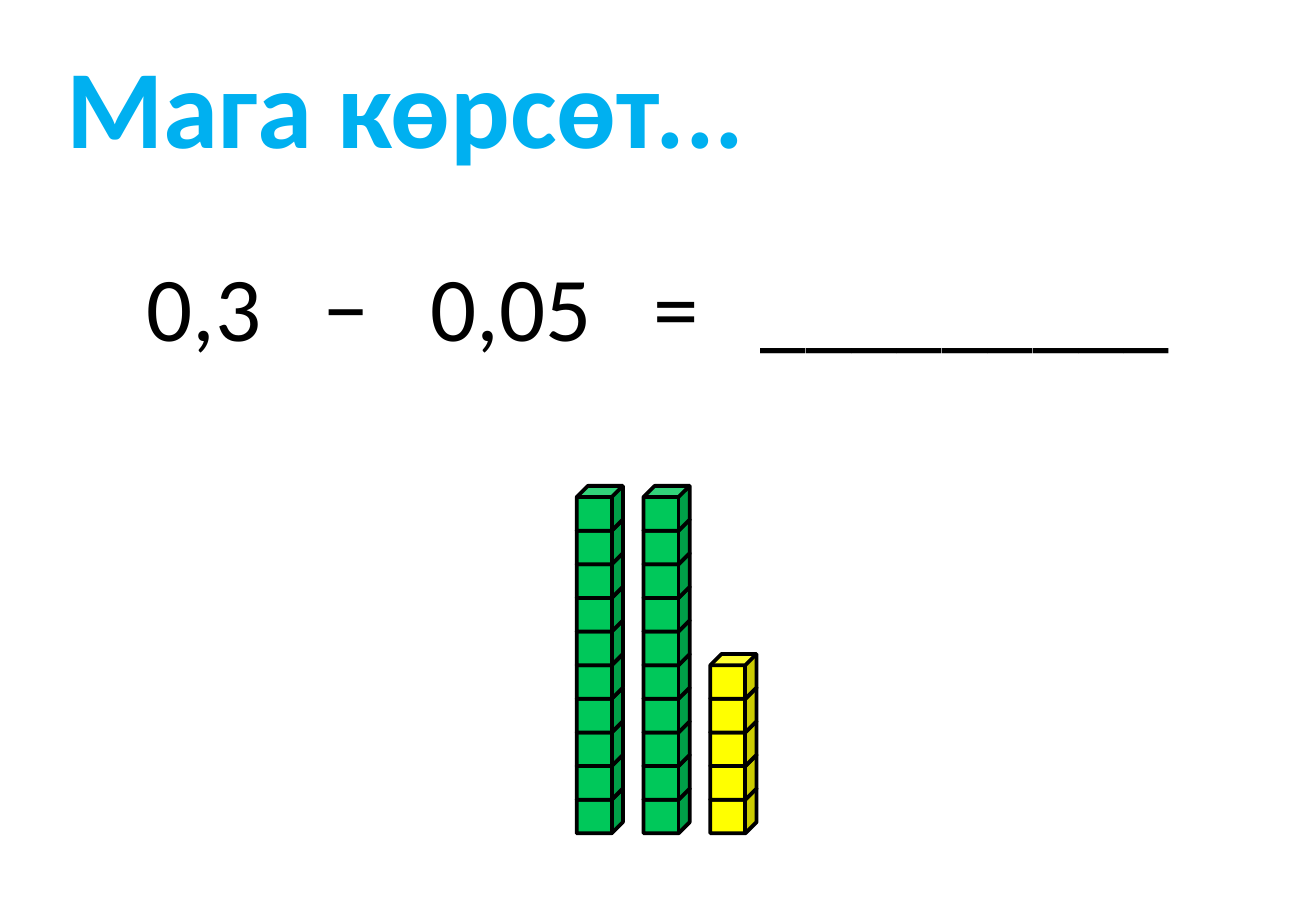
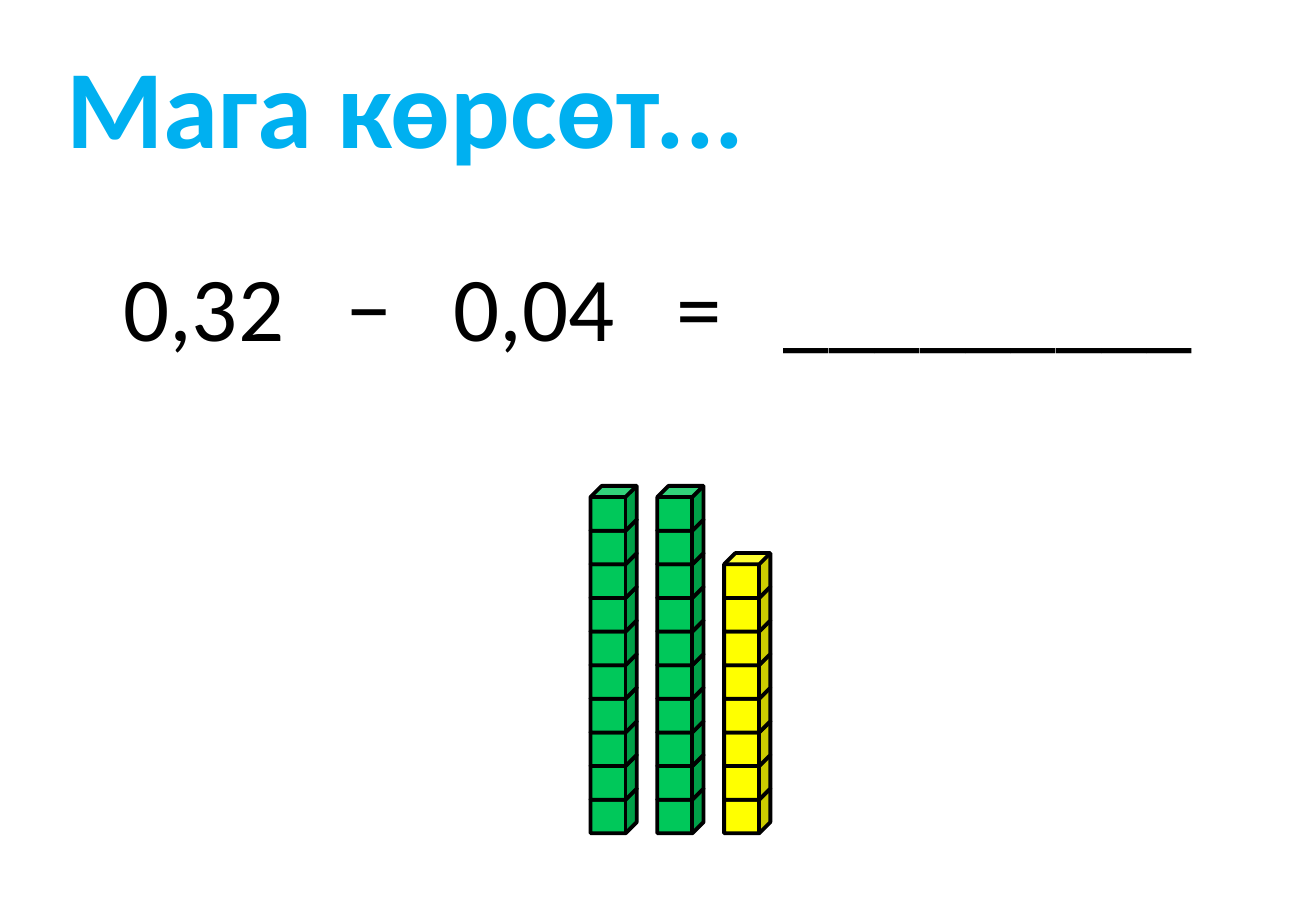
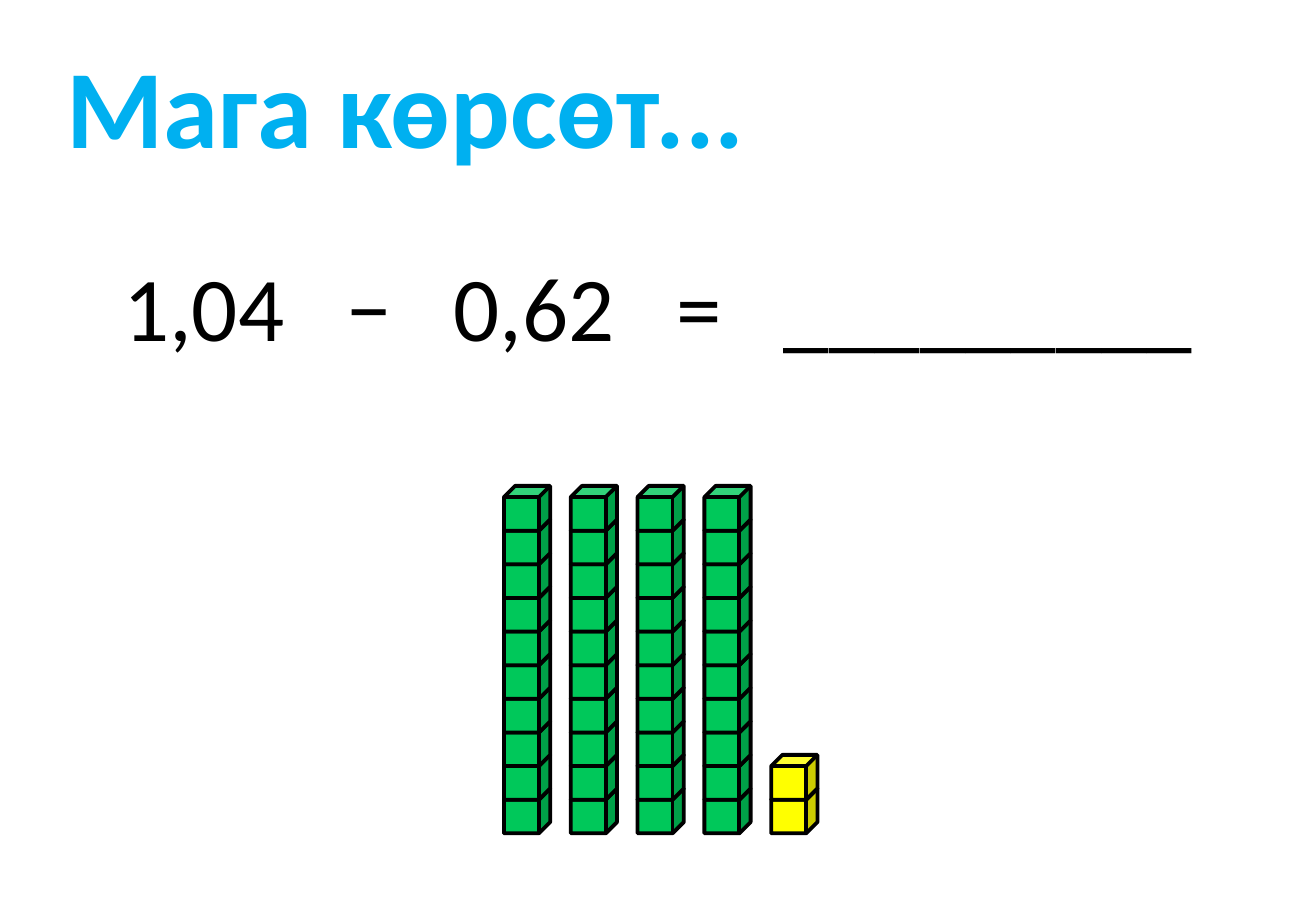
from lxml.etree import SubElement
from pptx import Presentation
from pptx.dml.color import RGBColor
from pptx.enum.shapes import MSO_SHAPE as SHAPE
from pptx.oxml.ns import qn
from pptx.util import Pt

TITLE = "Мага көрсөт..."
ANSWER = "_________"
EXERCISES = [
    {"terms": ("0,3", "0,05"), "tens": 2, "ones": 5, "left": 341.8},
    {"terms": ("0,32", "0,04"), "tens": 2, "ones": 8, "left": 350},
    {"terms": ("1,04", "0,62"), "tens": 4, "ones": 2, "left": 298.7},
]

FONT = "Calibri"
BLUE, GREEN, YELLOW, BLACK = "00B0F0", "00C85A", "FFFF00", "000000"
SLIDE_W, SLIDE_H = 780, 540
INSET = 7.2
DIGIT, COMMA, SIGN, GAP = 27.4, 13.5, 26.9, 36.6
CUBE_W, CUBE_H = 27.4, 26.6
TOWER_STEP, CUBE_STEP, BASE_TOP = 39.6, 19.93, 467.4


def color(value):
    return RGBColor.from_string(value)


def add_text(s, text, left, top, width, height, size, fill, bold=False, tabs=()):
    tf = s.shapes.add_textbox(Pt(left), Pt(top), Pt(width), Pt(height)).text_frame
    tf.word_wrap = True
    tf.margin_right = 0
    p = tf.paragraphs[0]
    if tabs:
        tab_list = SubElement(p._p.get_or_add_pPr(), qn("a:tabLst"))
        for pos in tabs:
            SubElement(tab_list, qn("a:tab"), pos=str(Pt(pos)), algn="l")
    r = p.add_run()
    r.text = text
    r.font.name, r.font.size, r.font.bold = FONT, Pt(size), bold
    r.font.color.rgb = color(fill)


def part_width(part):
    return sum(DIGIT if c.isdigit() else COMMA if c == "," else SIGN for c in part)


def add_equation(s, terms):
    parts = [terms[0], "−", terms[1], "=", ANSWER]
    tabs, pos = [], 0
    for part in parts[:-1]:
        pos += part_width(part) + GAP
        tabs.append(round(pos, 2))
    width = pos + part_width(ANSWER)
    left = (SLIDE_W - width) / 2 - INSET
    add_text(s, "\t".join(parts), left, 144.7, width + 2 * INSET, 72.7,
             54, BLACK, tabs=tabs)


def add_tower(s, left, count, fill):
    tower = s.shapes.add_group_shape()
    for i in range(count):
        cube = tower.shapes.add_shape(SHAPE.CUBE, Pt(left), Pt(BASE_TOP - i * CUBE_STEP),
                                      Pt(CUBE_W), Pt(CUBE_H))
        cube.shadow.inherit = False
        cube.fill.solid()
        cube.fill.fore_color.rgb = color(fill)
        cube.line.color.rgb = color(BLACK)
        cube.line.width = Pt(2.25)


def main():
    prs = Presentation()
    prs.slide_width, prs.slide_height = Pt(SLIDE_W), Pt(SLIDE_H)
    for ex in EXERCISES:
        s = prs.slides.add_slide(prs.slide_layouts[6])
        add_equation(s, ex["terms"])
        towers = [(10, GREEN)] * ex["tens"] + [(ex["ones"], YELLOW)]
        for i, (count, fill) in enumerate(towers):
            add_tower(s, ex["left"] + i * TOWER_STEP, count, fill)
        add_text(s, TITLE, 32.2, 18.7, 528, 87.1, 66, BLUE, bold=True)
    prs.save("out.pptx")


if __name__ == "__main__":
    main()
